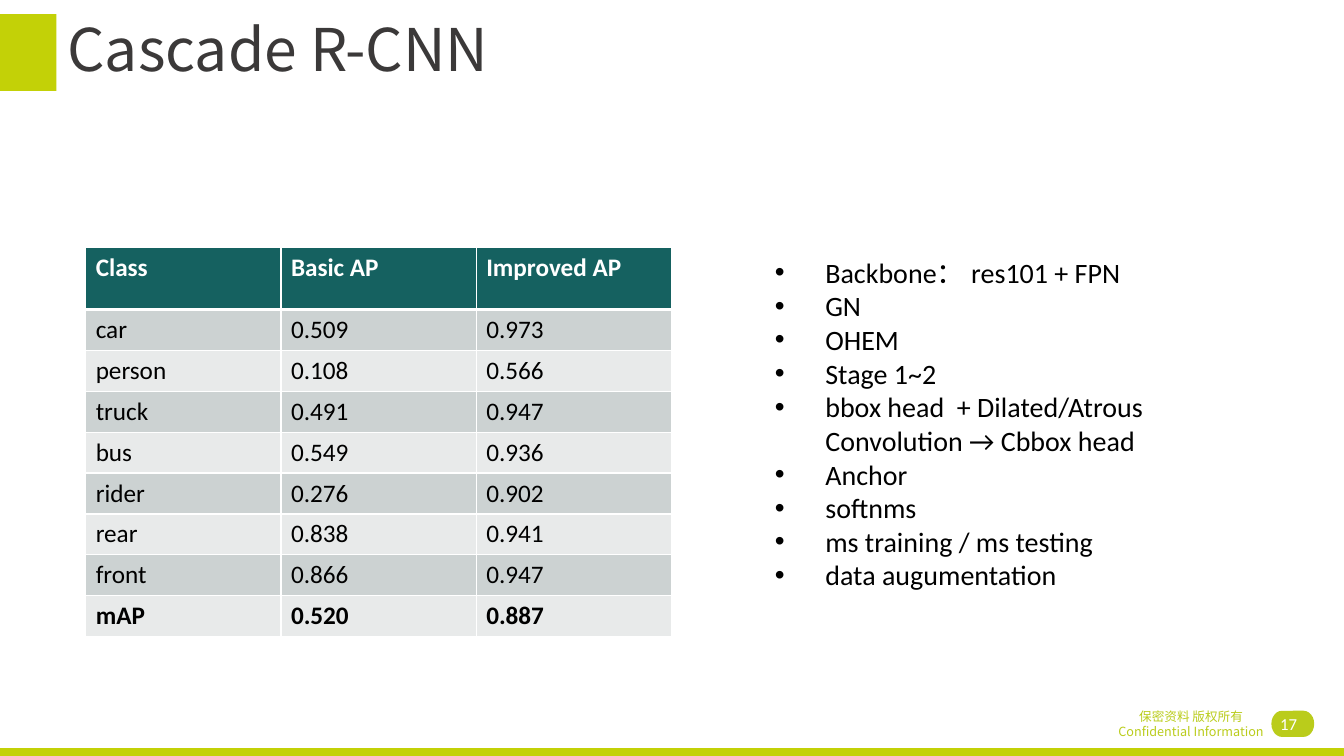
from lxml.etree import SubElement
from pptx import Presentation
from pptx.dml.color import RGBColor
from pptx.enum.shapes import MSO_SHAPE
from pptx.enum.text import MSO_ANCHOR, PP_ALIGN
from pptx.oxml import parse_xml
from pptx.oxml.ns import nsdecls, qn
from pptx.util import Cm, Pt

CJK_FONT = "Noto Sans CJK SC"
LIME = "BACC1B"
BRIGHT_LIME = "C3D107"


def paint(color_format, hex_color):
    color_format.rgb = RGBColor.from_string(hex_color)


def write(para, text, size=18, font="Calibri", color="000000", bold=False,
          align=PP_ALIGN.LEFT, spacing=None):
    para.alignment = align
    if spacing:
        para.line_spacing = spacing
    span = para.add_run()
    span.text = text
    span.font.size = Pt(size)
    span.font.name = font
    span.font.bold = bold
    paint(span.font.color, color)
    SubElement(span.font._element, qn("a:ea")).set("typeface", CJK_FONT)


deck = Presentation()
deck.slide_width = Cm(33.87)
deck.slide_height = Cm(19.05)
page = deck.slides.add_slide(deck.slide_layouts[6])

decorations = [
    (MSO_SHAPE.FLOWCHART_DELAY, 32.58, 17.91, 0.54, 0.66, 0, LIME),
    (MSO_SHAPE.FLOWCHART_DELAY, 32.04, 17.91, 0.54, 0.66, 180, LIME),
    (MSO_SHAPE.RECTANGLE, 0, 0.36, 1.42, 1.93, 0, BRIGHT_LIME),
    (MSO_SHAPE.RECTANGLE, 0, 18.85, 33.87, 0.2, 0, BRIGHT_LIME),
]
for kind, left, top, width, height, rotation, color in decorations:
    shape = page.shapes.add_shape(kind, Cm(left), Cm(top), Cm(width), Cm(height))
    shape.rotation = rotation
    shape.shadow.inherit = False
    shape.fill.solid()
    paint(shape.fill.fore_color, color)
    shape.line.fill.background()

features = [
    "Backbone： res101 + FPN",
    "GN",
    "OHEM",
    "Stage 1~2",
    "bbox head  + Dilated/Atrous Convolution → Cbbox head",
    "Anchor",
    "softnms",
    "ms training / ms testing",
    "data augumentation",
]
text_boxes = [
    (27.08, 17.73, 5.87, 1.32, MSO_ANCHOR.TOP, False,
     ["保密资料 版权所有", "Confidential Information"],
     dict(size=9, font=CJK_FONT, color=LIME, align=PP_ALIGN.CENTER)),
    (1.45, 0.43, 29.21, 1.8, MSO_ANCHOR.MIDDLE, False, ["Cascade R-CNN"],
     dict(size=42, font=CJK_FONT, color="3B3939", spacing=0.9)),
    (25.32, 17.73, 7.62, 1.02, MSO_ANCHOR.MIDDLE, False, ["17"],
     dict(size=12, color="FFFFFF", align=PP_ALIGN.RIGHT)),
    (19.28, 6.31, 12.07, 8.8, MSO_ANCHOR.TOP, True, features, dict(size=20)),
]
for left, top, width, height, anchor, bulleted, lines, style in text_boxes:
    box = page.shapes.add_textbox(Cm(left), Cm(top), Cm(width), Cm(height))
    frame = box.text_frame
    frame.word_wrap = True
    frame.vertical_anchor = anchor
    for index, line in enumerate(lines):
        para = frame.add_paragraph() if index else frame.paragraphs[0]
        if bulleted:
            properties = para._p.get_or_add_pPr()
            properties.set("marL", str(Cm(1.27)))
            properties.set("indent", str(-Cm(1.27)))
            SubElement(properties, qn("a:buFont")).set("typeface", "Arial")
            SubElement(properties, qn("a:buChar")).set("char", "•")
        write(para, line, **style)

results = [
    ("Class", "Basic AP", "Improved AP"),
    ("car", "0.509", "0.973"),
    ("person", "0.108", "0.566"),
    ("truck", "0.491", "0.947"),
    ("bus", "0.549", "0.936"),
    ("rider", "0.276", "0.902"),
    ("rear", "0.838", "0.941"),
    ("front", "0.866", "0.947"),
    ("mAP", "0.520", "0.887"),
]
table = page.shapes.add_table(
    len(results), 3, Cm(2.16), Cm(6.23), Cm(14.76), Cm(9.81)).table
for column in table.columns:
    column.width = Cm(4.92)
for row_index, values in enumerate(results):
    header = row_index == 0
    table.rows[row_index].height = Cm(1.57 if header else 1.03)
    band = "156160" if header else ("E8EAEA", "CCD2D2")[row_index % 2]
    for column_index, value in enumerate(values):
        cell = table.cell(row_index, column_index)
        properties = cell._tc.get_or_add_tcPr()
        for side in "LRTB":
            thick = (side == "B" and header) or (side == "T" and row_index == 1)
            properties.append(parse_xml(
                f'<a:ln{side} {nsdecls("a")} w="{Pt(3 if thick else 1)}">'
                '<a:solidFill><a:srgbClr val="FFFFFF"/></a:solidFill>'
                f'</a:ln{side}>'))
        cell.fill.solid()
        paint(cell.fill.fore_color, band)
        write(cell.text_frame.paragraphs[0], value,
              color="FFFFFF" if header else "000000",
              bold=header or values[0] == "mAP")

deck.save("out.pptx")
